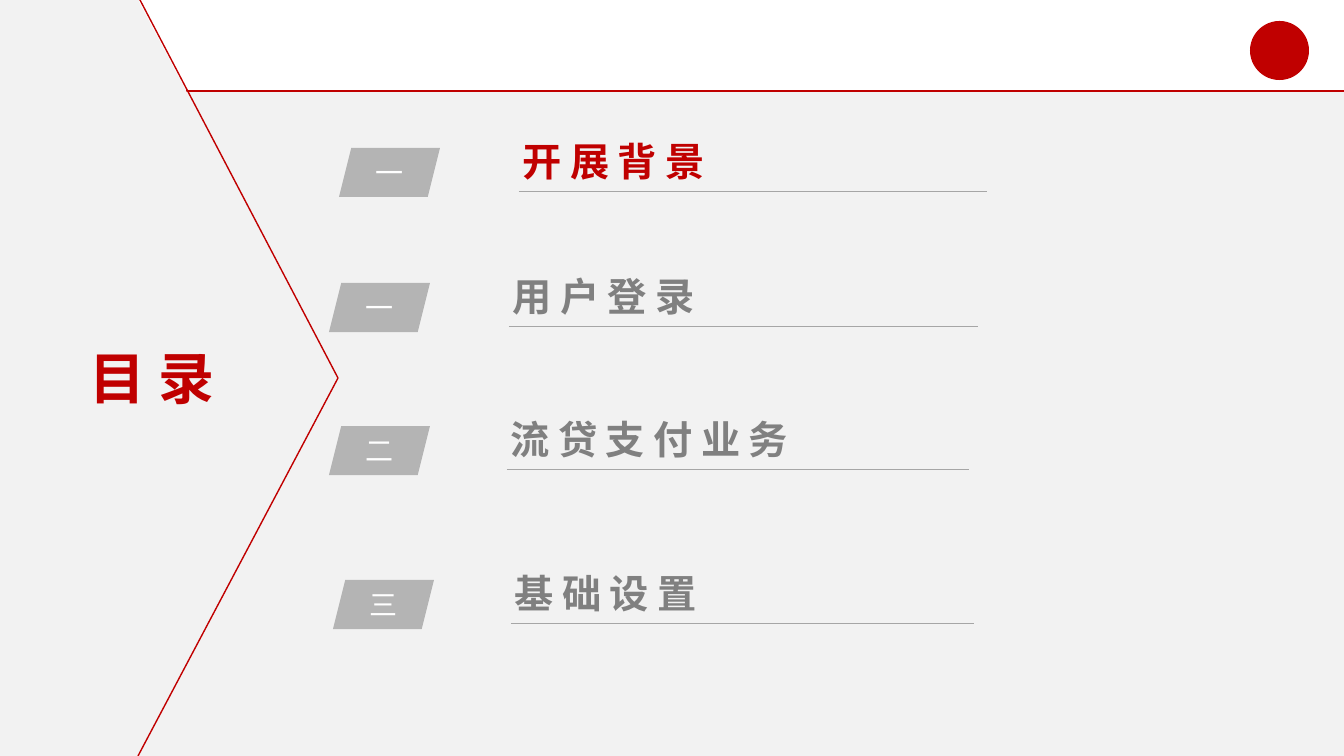
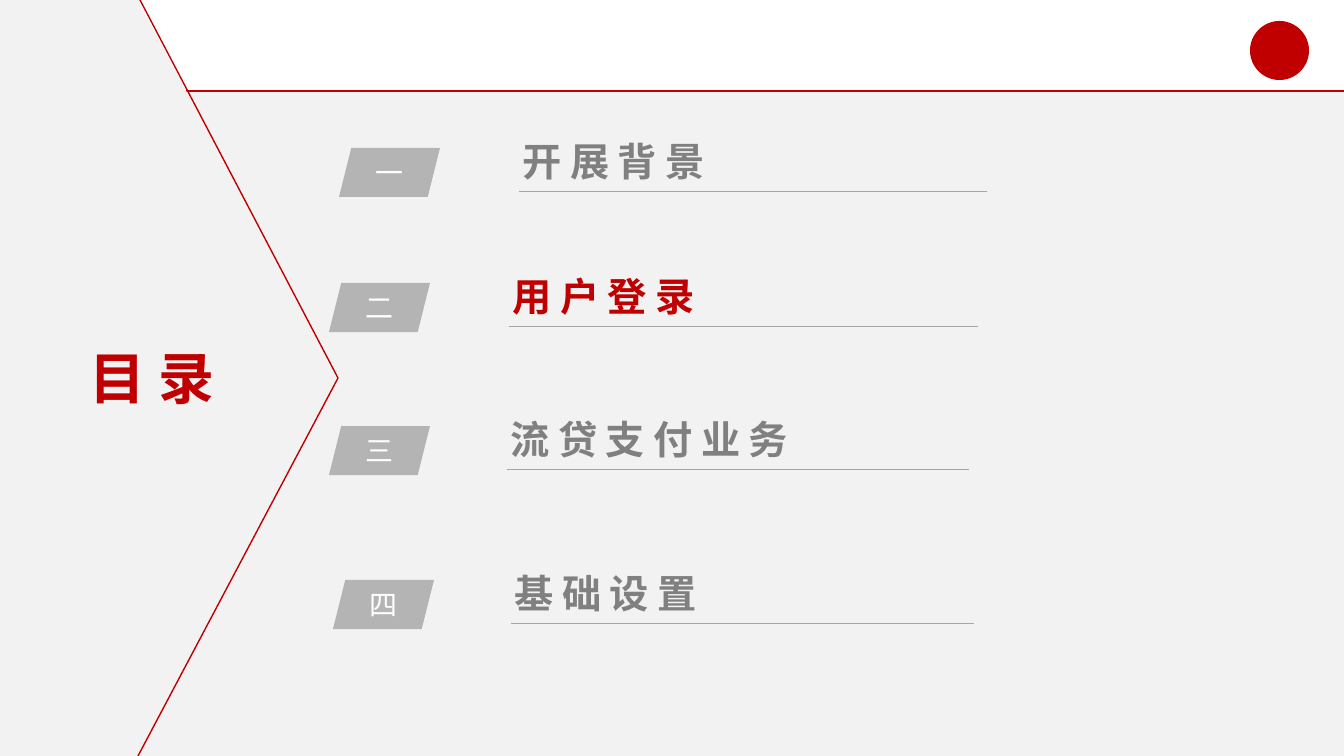
from collections import namedtuple

from lxml.etree import SubElement
from pptx import Presentation
from pptx.dml.color import RGBColor
from pptx.enum.shapes import MSO_CONNECTOR, MSO_SHAPE as SHAPE
from pptx.enum.text import MSO_ANCHOR as ANCHOR, MSO_AUTO_SIZE as AUTO_SIZE, PP_ALIGN as ALIGN
from pptx.oxml.ns import qn
from pptx.util import Emu, Pt

# Style
RED = RGBColor(0xC0, 0x00, 0x00)
WHITE = RGBColor(0xFF, 0xFF, 0xFF)
PANEL = RGBColor(0xF2, 0xF2, 0xF2)
BADGE = RGBColor(0xB4, 0xB4, 0xB4)
RULE = RGBColor(0xA6, 0xA6, 0xA6)
MUTED = RGBColor(0x80, 0x80, 0x80)
FONT = "Arial"

# Page in px
WIDTH, HEIGHT = 1344, 756
SCALE = 12192000 / WIDTH
HEADER = 91
EDGE, TIP = 138, 338

# Agenda rows
Row = namedtuple("Row", "title left top text_left text_width rule_width")
ROWS = [
    Row("开展背景", 339, 148, 513, 836, 468),
    Row("用户登录", 329, 283, 503, 836, 469),
    Row("流贷支付业务", 329, 426, 501, 670, 462),
    Row("基础设置", 333, 580, 505, 670, 463),
]


def px(value):
    return Emu(round(value * SCALE))


class Deck:
    def __init__(self):
        self.presentation = Presentation()
        self.presentation.slide_width = px(WIDTH)
        self.presentation.slide_height = px(HEIGHT)
        self.slide = None

    def new_slide(self):
        self.slide = self.presentation.slides.add_slide(self.presentation.slide_layouts[6])
        background = self.slide.background.fill
        background.solid()
        background.fore_color.rgb = WHITE

    def shape(self, kind, left, top, width, height, color):
        shape = self.slide.shapes.add_shape(kind, px(left), px(top), px(width), px(height))
        shape.shadow.inherit = False
        shape.fill.solid()
        shape.fill.fore_color.rgb = color
        shape.line.fill.background()
        return shape

    def line(self, start, end, color, weight):
        line = self.slide.shapes.add_connector(
            MSO_CONNECTOR.STRAIGHT, *(px(value) for value in (*start, *end)))
        line.line.color.rgb = color
        line.line.width = Pt(weight)
        SubElement(line._element.spPr, qn("a:effectLst"))

    def set_text(self, text_frame, text, size, color, bold=False, spacing=0):
        text_frame.text = text
        paragraph = text_frame.paragraphs[0]
        font = paragraph.runs[0].font
        font.name, font.size, font.bold = FONT, Pt(size), bold
        font.color.rgb = color
        if spacing:
            paragraph.runs[0]._r.get_or_add_rPr().set("spc", str(spacing * 100))
        return paragraph

    def text_box(self, left, top, width, height, wrap=True):
        box = self.slide.shapes.add_textbox(px(left), px(top), px(width), px(height))
        box.text_frame.word_wrap = wrap
        box.text_frame.auto_size = AUTO_SIZE.SHAPE_TO_FIT_TEXT
        return box.text_frame

    def badge(self, left, top, text):
        frame = self.shape(SHAPE.PARALLELOGRAM, left, top, 101, 49, BADGE).text_frame
        frame.margin_left = frame.margin_top = frame.margin_right = frame.margin_bottom = 0
        frame.vertical_anchor = ANCHOR.MIDDLE
        self.set_text(frame, text, 20, WHITE).alignment = ALIGN.CENTER

    def frame(self):
        # Body panel, header line and emblem
        self.shape(SHAPE.RECTANGLE, 0, HEADER, WIDTH, HEIGHT - HEADER, PANEL)
        self.line((0, HEADER), (WIDTH, HEADER), RED, 0.75)
        self.shape(SHAPE.OVAL, 1250, 21, 59, 59, RED)
        # Arrow-shaped side panel
        depth, middle = TIP - EDGE, HEIGHT // 2
        self.shape(SHAPE.RECTANGLE, 0, 0, EDGE + 1, HEIGHT, PANEL)
        arrow = self.shape(SHAPE.ISOSCELES_TRIANGLE, (EDGE + TIP - HEIGHT) // 2,
                           (HEIGHT - depth) // 2, HEIGHT, depth, PANEL)
        arrow.rotation = 90
        self.line((EDGE + 1, -2), (TIP, middle), RED, 1)
        self.line((EDGE, HEIGHT), (TIP, middle), RED, 1)
        # Side title
        title = self.text_box(77, 339, 150, 78, wrap=False)
        self.set_text(title, "目 录", 40, RED, bold=True).alignment = ALIGN.CENTER

    def agenda_row(self, row, number, active):
        self.badge(row.left, row.top, number)
        box = self.text_box(row.text_left, row.top - 10, row.text_width, 52)
        color = RED if active else MUTED
        paragraph = self.set_text(box, row.title, 28, color, bold=True, spacing=6)
        paragraph.line_spacing = 0.9
        rule_left, rule_top = row.text_left + 6, row.top + 43
        self.line((rule_left, rule_top), (rule_left + row.rule_width, rule_top), RULE, 0.5)

    def agenda(self, numbers, current):
        self.new_slide()
        self.frame()
        for index, (row, number) in enumerate(zip(ROWS, numbers)):
            self.agenda_row(row, number, index == current)


def main():
    deck = Deck()
    deck.agenda("一一二三", current=0)
    deck.agenda("一二三四", current=1)
    deck.presentation.save("out.pptx")


if __name__ == "__main__":
    main()
